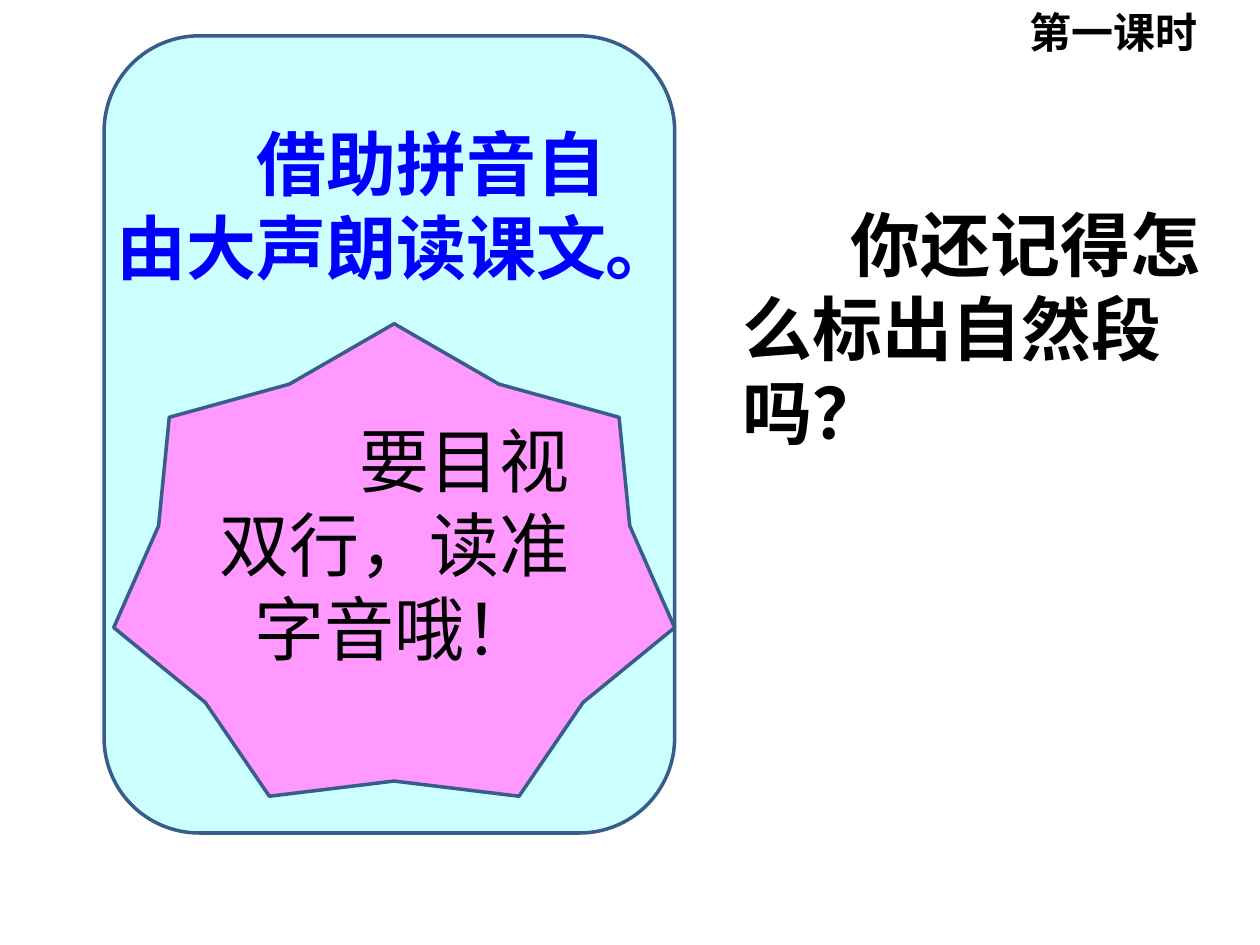
from pptx import Presentation
from pptx.dml.color import RGBColor as Rgb
from pptx.enum.shapes import MSO_SHAPE as Kind
from pptx.enum.text import MSO_ANCHOR as Anchor, PP_ALIGN as Align
from pptx.util import Pt

HUES = {"sky": "CCFFFF", "pink": "FF99FF", "edge": "385D8A",
        "blue": "0000FF", "black": "000000"}
BOLD = {"name": "Arial", "size": Pt(40), "bold": True}
PLAIN = {"name": "Noto Sans CJK JP", "size": Pt(40), "bold": False}
SMALL = {**BOLD, "size": Pt(24)}


class Page:
    def __init__(self, slide, hues):
        self.slide = slide
        self.hues = hues

    def hue(self, name):
        return Rgb.from_string(self.hues[name])

    def shape(self, kind, box, fill):
        item = self.slide.shapes.add_shape(kind, *map(Pt, box))
        item.shadow.inherit = False
        item.fill.solid()
        item.fill.fore_color.rgb = self.hue(fill)
        item.line.color.rgb = self.hue("edge")
        item.line.width = Pt(2)
        return item

    def label(self, item, text, form, hue, dent=0, align=Align.LEFT,
              anchor=Anchor.TOP):
        frame = item.text_frame
        frame.word_wrap = True
        frame.vertical_anchor = anchor
        para = frame.paragraphs[0]
        para.alignment = align
        if dent:
            props = para._p.get_or_add_pPr()
            props.set("marL", "0")
            props.set("indent", str(Pt(dent)))
        run = para.add_run()
        run.text = text
        for key, value in form.items():
            setattr(run.font, key, value)
        run.font.color.rgb = self.hue(hue)

    def text(self, box, text, form, hue, dent=0):
        item = self.slide.shapes.add_textbox(*map(Pt, box))
        self.label(item, text, form, hue, dent)


def main():
    deck = Presentation()
    deck.slide_width, deck.slide_height = Pt(720), Pt(540)
    page = Page(deck.slides.add_slide(deck.slide_layouts[6]), HUES)

    page.shape(Kind.ROUNDED_RECTANGLE, (59.5, 20.5, 326, 455.5), "sky")
    page.text((59.5, 65.5, 315, 104), "借助拼音自由大声朗读课文。",
              BOLD, "blue", 80)

    star = page.shape(Kind.STAR_7_POINT, (65, 185, 320.5, 270), "pink")
    star.adjustments[0] = 0.42
    page.label(star, "要目视双行，读准字音哦！", PLAIN, "black", 80,
               Align.CENTER, Anchor.MIDDLE)

    page.text((417, 111.5, 289.5, 151), "你还记得怎么标出自然段吗？",
              BOLD, "black", 62)
    page.text((581, 0, 139, 36), "第一课时", SMALL, "black")
    deck.save("out.pptx")


if __name__ == "__main__":
    main()
